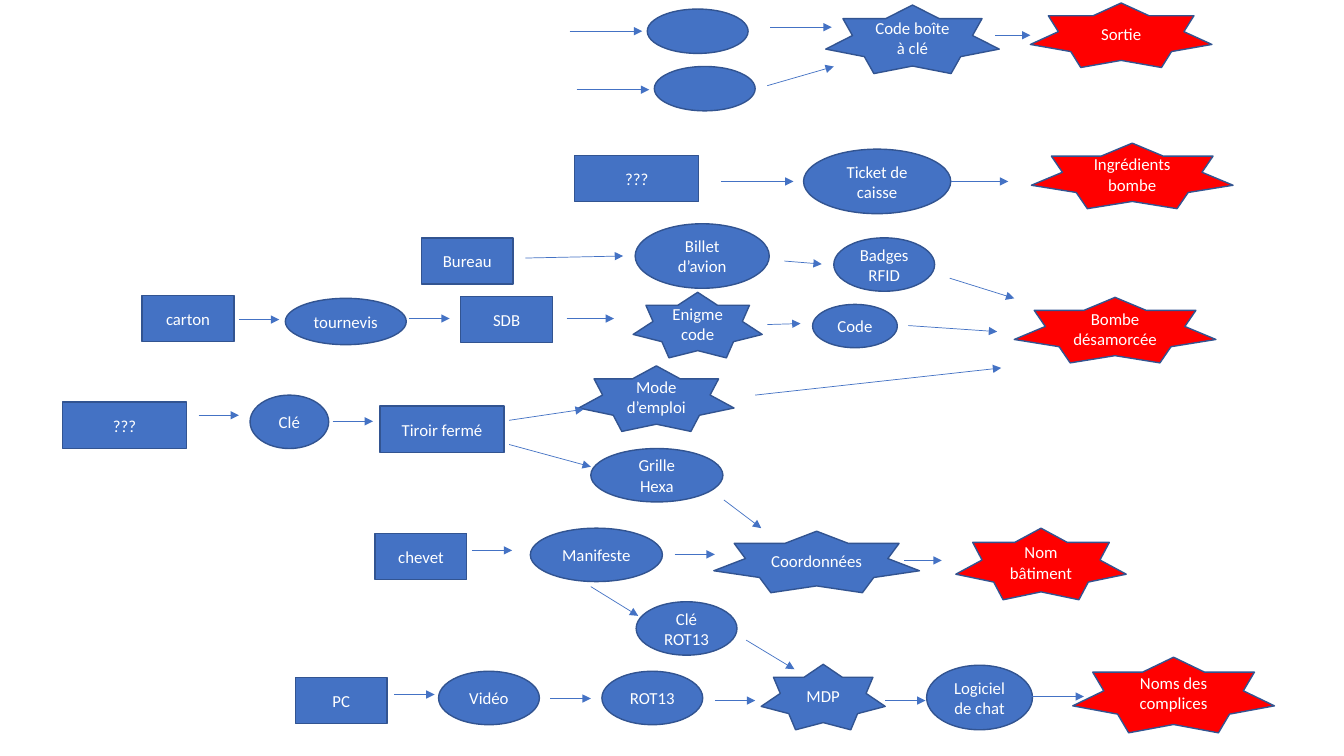
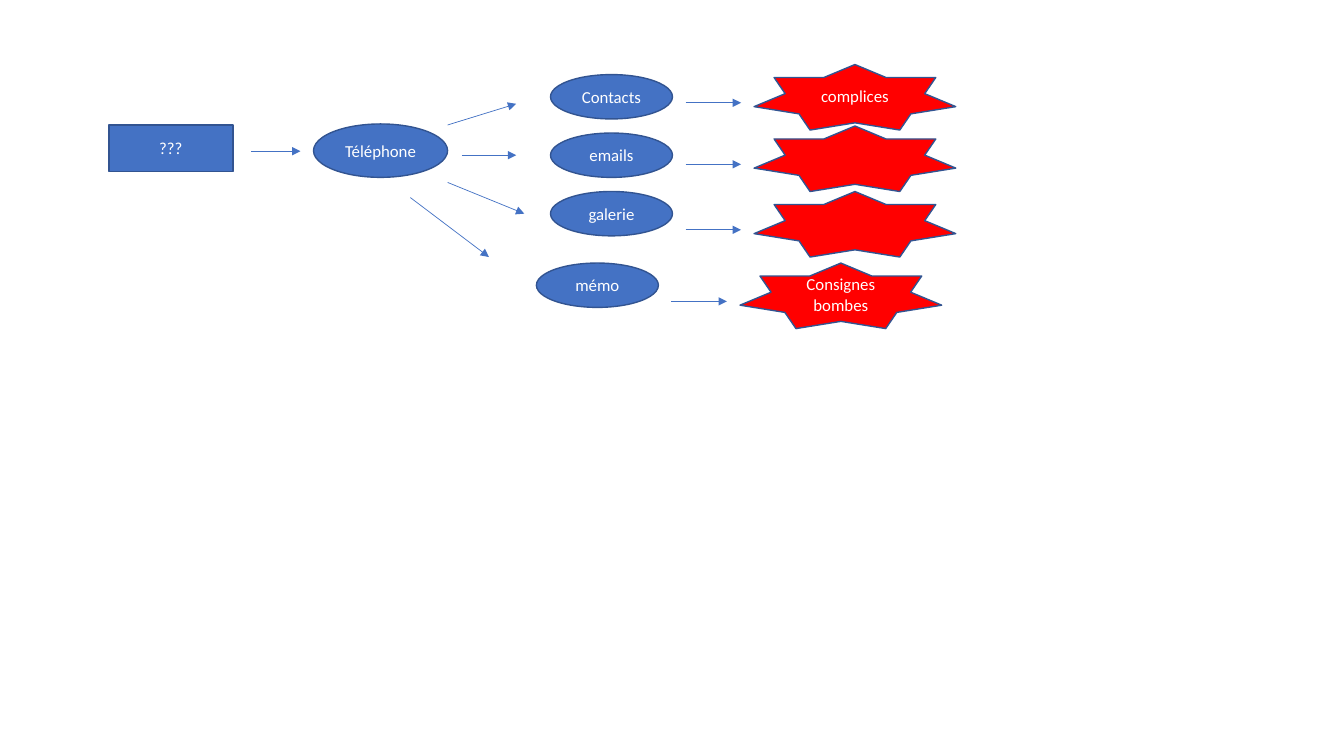
import pptx
import pptx.util
import pptx.dml.color
import pptx.enum.shapes
import pptx.enum.text
import pptx.oxml
import pptx.oxml.ns

# Shared look
HUES = {"blue": "4472C4", "edge": "325491", "goal": "FF0000", "text": "FFFFFF"}
FONT = {"name": "Calibri", "size": pptx.util.Pt(12)}
FORM = pptx.enum.shapes.MSO_SHAPE
# kind: (preset, fill, usual width, usual height)
KINDS = {
    "place": (FORM.RECTANGLE, "blue", 0.91, 0.46),
    "item": (FORM.OVAL, "blue", 1, 0.53),
    "code": (FORM.STAR_7_POINT, "blue", 1.28, 0.65),
    "goal": (FORM.STAR_7_POINT, "goal", 2, 0.65),
}
WIDE = 1.23  # wide place

# Escape plan: kind -> (text, left, top, [width, height])
PLAN = {
    "place": [
        ("???", 5.7, 1.54, WIDE), ("Bureau", 4.18, 2.36),
        ("carton", 1.41, 2.93), ("SDB", 4.57, 2.94),
        ("???", 0.62, 3.99, WIDE), ("Tiroir fermé", 3.77, 4.03, WIDE),
        ("chevet", 3.72, 5.29), ("PC", 2.93, 6.72),
    ],
    "item": [
        ("", 6.42, 0.09, 1, 0.44), ("", 6.49, 0.66, 1, 0.44),
        ("Ticket de caisse", 7.97, 1.48, 1.46, 0.64),
        ("Billet d’avion", 6.3, 2.22, 1.33, 0.64),
        ("Badges RFID", 8.27, 2.36),
        ("tournevis", 2.83, 2.96, 1.2, 0.46),
        ("Code", 8.06, 3.02, 0.84, 0.43),
        ("Clé", 2.48, 3.92, 0.78),
        ("Grille Hexa", 5.86, 4.45, 1.31),
        ("Manifeste", 5.26, 5.24, 1.31),
        ("Clé ROT13", 6.31, 5.97),
        ("Vidéo", 4.35, 6.66), ("ROT13", 5.97, 6.66),
        ("Logiciel de chat", 9.19, 6.6, 1.05, 0.64),
    ],
    "code": [
        ("Code boîte à clé", 8.19, 0.05, 1.72, 0.68),
        ("Enigme code", 6.28, 2.9),
        ("Mode d’emploi", 5.74, 3.63, 1.54),
        ("Coordonnées", 7.08, 5.27, 2.04, 0.61),
        ("MDP", 7.55, 6.59, 1.23),
    ],
    "goal": [
        ("Sortie", 10.22, 0.03, 1.8, 0.64),
        ("Ingrédients bombe", 10.23, 1.42),
        ("Bombe désamorcée", 10.06, 2.95),
        ("Nom bâtiment", 9.48, 5.24, 1.69, 0.71),
        ("Noms des complices", 10.64, 6.52, 2, 0.75),
    ],
}

# Arrows: (left, top, run, [rise or fall])
STEP = 0.4
LINKS = [
    (5.65, 0.31, 0.72), (7.64, 0.27, 0.61), (9.87, 0.35, 0.35),
    (5.72, 0.89, 0.72), (7.61, 0.85, 0.66, -0.19),
    (7.15, 1.8, 0.72), (9.43, 1.8, 0.57),
    (5.21, 2.56, 0.97, -0.02), (7.78, 2.59, 0.37, 0.03),
    (9.42, 2.76, 0.64, 0.2),
    (2.37, 3.17, STEP), (4.06, 3.16, STEP), (5.62, 3.16, 0.47),
    (7.61, 3.22, 0.33, -0.01), (9.01, 3.23, 0.88, 0.06),
    (1.97, 4.12, STEP), (3.3, 4.18, STEP),
    (5.05, 4.17, 0.74, -0.11), (5.05, 4.41, 0.81, 0.22),
    (7.49, 3.92, 2.44, -0.27), (7.18, 4.96, 0.37, 0.28),
    (4.68, 5.46, STEP), (6.69, 5.5, STEP), (8.97, 5.56, 0.37),
    (5.86, 5.82, 0.47, 0.29), (7.4, 6.35, 0.48, 0.29),
    (3.91, 6.89, STEP), (5.46, 6.93, STEP), (7.09, 6.95, STEP),
    (8.78, 6.95, STEP), (10.21, 6.91, 0.54),
]

# Phone: (app, result, left, app top, result top)
APPS = [
    ("Contacts", "complices", 5.46, 0.74, 0.64),
    ("emails", "", 5.46, 1.32, 1.25),
    ("galerie", "", 5.46, 1.9, 1.9),
    ("mémo", "Consignes bombes", 5.32, 2.61, 2.61),
]
CALLS = [
    (2.49, 1.5, 0.49), (4.44, 1.24, 0.68, -0.21), (4.58, 1.54, 0.54),
    (4.44, 1.81, 0.76, 0.31), (4.07, 1.96, 0.78, 0.59),
]

deck = pptx.Presentation()
deck.slide_width = pptx.util.Inches(13.33)
deck.slide_height = pptx.util.Inches(7.5)


def hue(key):
    return pptx.dml.color.RGBColor.from_string(HUES[key])


def node(slide, kind, text, left, top, *size):
    form, fill, *usual = KINDS[kind]
    box = (left, top, *size, *usual[len(size):])
    shape = slide.shapes.add_shape(form, *map(pptx.util.Inches, box))
    shape.shadow.inherit = False
    shape.fill.solid()
    shape.fill.fore_color.rgb = hue(fill)
    shape.line.color.rgb = hue("edge")
    shape.line.width = pptx.util.Pt(1)
    if text:
        frame = shape.text_frame
        frame.word_wrap = True
        frame.vertical_anchor = pptx.enum.text.MSO_ANCHOR.MIDDLE
        para = frame.paragraphs[0]
        para.alignment = pptx.enum.text.PP_ALIGN.CENTER
        run = para.add_run()
        run.text = text
        for key, value in FONT.items():
            setattr(run.font, key, value)
        run.font.color.rgb = hue("text")


def arrow(slide, left, top, run, rise=0):
    ends = (left, top, left + run, top + rise)
    link = slide.shapes.add_connector(
        pptx.enum.shapes.MSO_CONNECTOR.STRAIGHT, *map(pptx.util.Inches, ends))
    link.line.color.rgb = hue("blue")
    link.line.width = pptx.util.Pt(0.5)
    props = link.element.spPr
    tip = pptx.oxml.ns.qn("a:tailEnd")
    link.line._get_or_add_ln().append(props.makeelement(tip, {"type": "triangle"}))
    props.append(props.makeelement(pptx.oxml.ns.qn("a:effectLst"), {}))


def page():
    return deck.slides.add_slide(deck.slide_layouts[6])


# Slide 1: escape plan
plan = page()
for kind, nodes in PLAN.items():
    for spot in nodes:
        node(plan, kind, *spot)
for link in LINKS:
    arrow(plan, *link)

# Slide 2: phone
phone = page()
node(phone, "place", "???", 1.08, 1.24, WIDE)
node(phone, "item", "Téléphone", 3.11, 1.23, 1.33)
for app, goal, left, top, peak in APPS:
    node(phone, "item", app, left, top, 1.21, 0.44)
    node(phone, "goal", goal, left + 2.02, peak)
    arrow(phone, left + 1.34, peak + 0.38, 0.55)
for call in CALLS:
    arrow(phone, *call)

deck.save("out.pptx")
